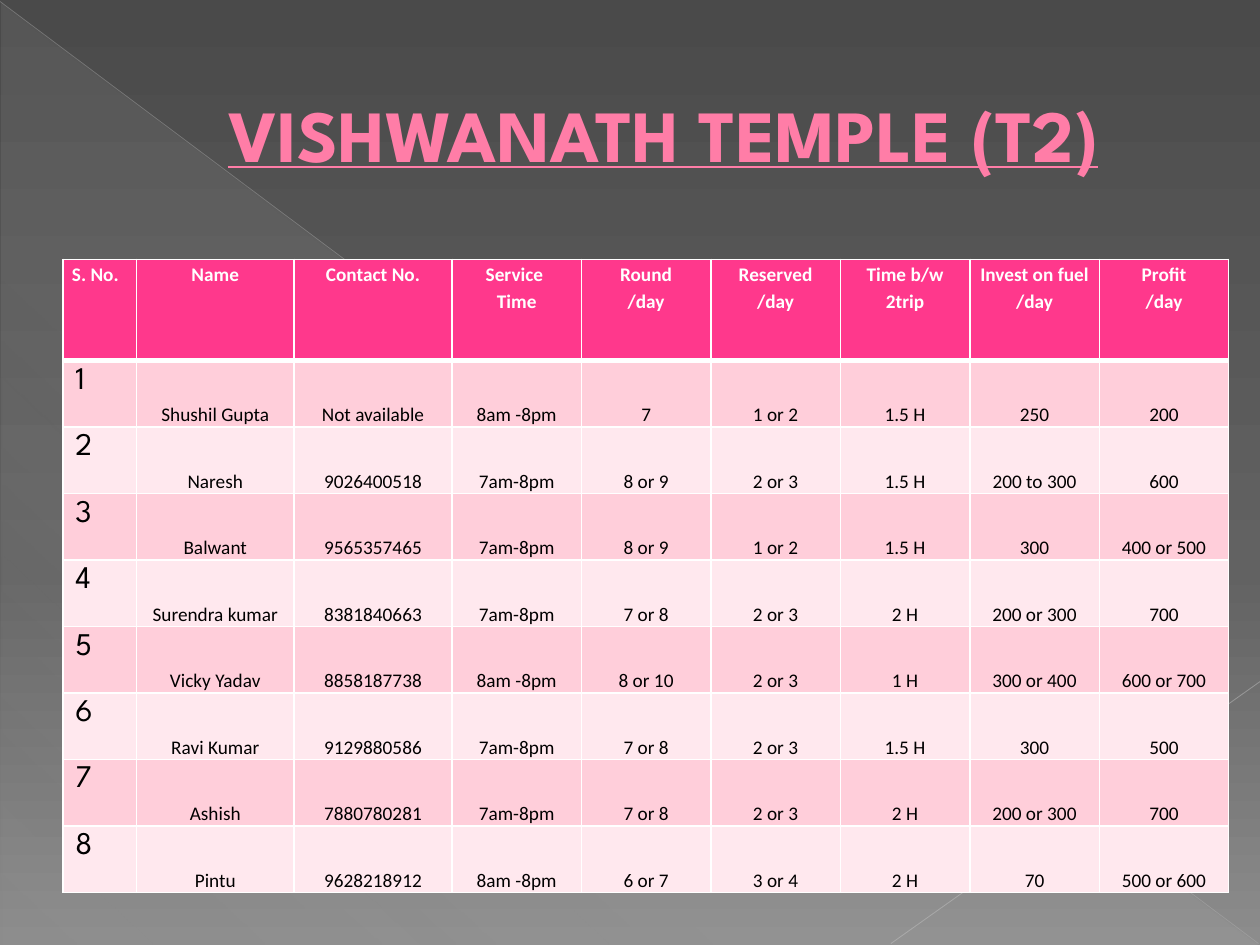
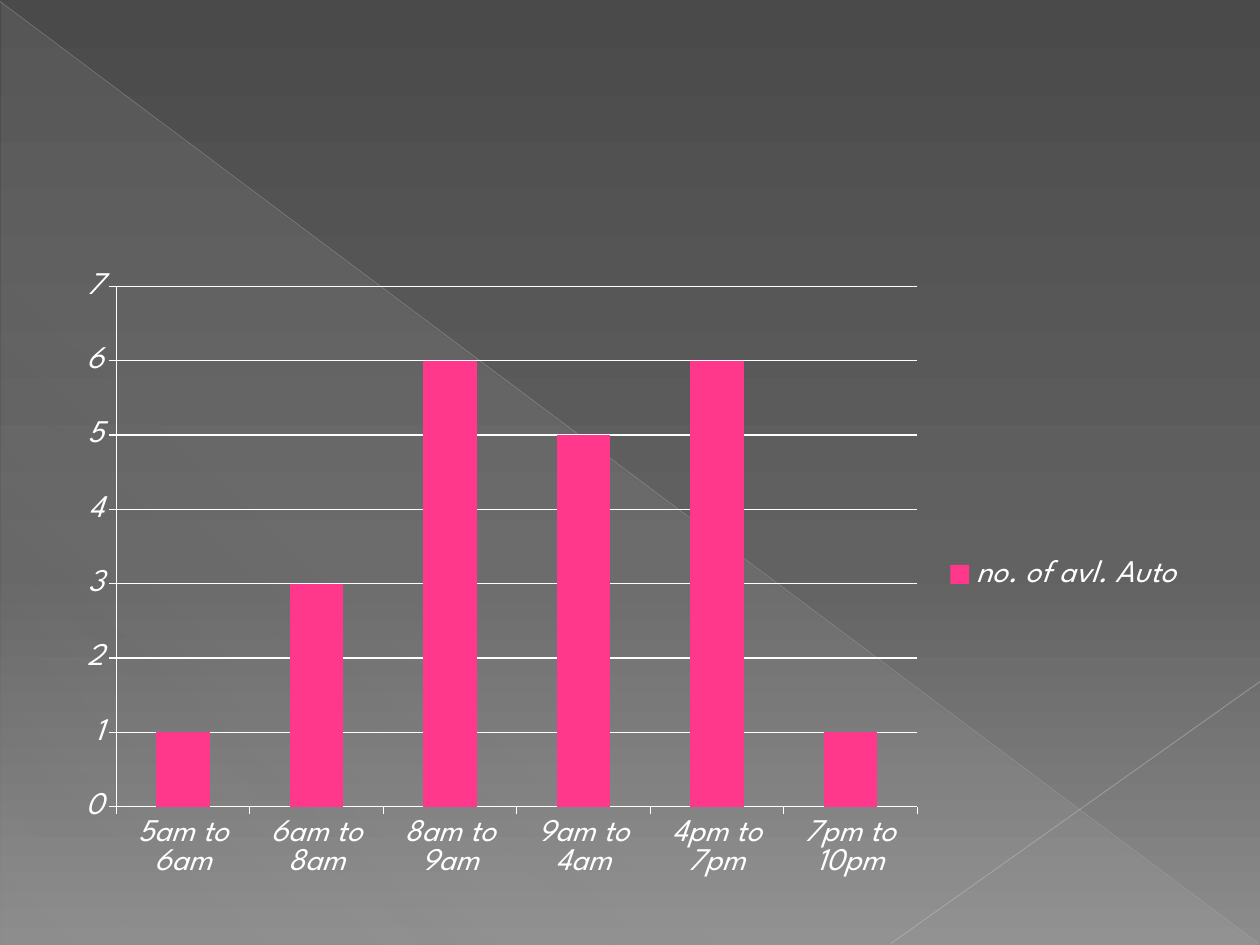
from typing import NamedTuple

from lxml import etree
from pptx import Presentation
from pptx.chart.data import CategoryChartData
from pptx.dml.color import RGBColor
from pptx.enum.chart import XL_CHART_TYPE, XL_LEGEND_POSITION, XL_TICK_MARK
from pptx.enum.shapes import MSO_CONNECTOR, MSO_SHAPE
from pptx.enum.text import MSO_ANCHOR, MSO_AUTO_SIZE, PP_ALIGN
from pptx.oxml.ns import qn
from pptx.util import Cm, Pt

COLUMN = XL_CHART_TYPE.COLUMN_CLUSTERED
RIGHT = XL_LEGEND_POSITION.RIGHT
TICK_OUT, TICK_NONE = XL_TICK_MARK.OUTSIDE, XL_TICK_MARK.NONE
STRAIGHT = MSO_CONNECTOR.STRAIGHT
TRIANGLE = MSO_SHAPE.RIGHT_TRIANGLE
TOP, MIDDLE, BOTTOM = MSO_ANCHOR.TOP, MSO_ANCHOR.MIDDLE, MSO_ANCHOR.BOTTOM
LEFT, CENTER = PP_ALIGN.LEFT, PP_ALIGN.CENTER
NO_FIT = MSO_AUTO_SIZE.NONE

WHITE = RGBColor(0xFF, 0xFF, 0xFF)
BLACK = RGBColor(0x00, 0x00, 0x00)
PINK = RGBColor(0xFF, 0x38, 0x8C)
TITLE_PINK = RGBColor(0xFF, 0x7D, 0xA7)
EDGE_PINK = RGBColor(0xB1, 0x27, 0x61)
ROSE = RGBColor(0xFF, 0xCE, 0xDA)
BLUSH = RGBColor(0xFF, 0xE8, 0xEE)
DARK = RGBColor(0x4A, 0x4A, 0x4A)
MID = RGBColor(0x62, 0x62, 0x62)
LIGHT = RGBColor(0x8C, 0x8C, 0x8C)
MIST = RGBColor(0xD2, 0xD2, 0xD2)
SILVER = RGBColor(0xBF, 0xBF, 0xBF)
PALE = RGBColor(0xC6, 0xC6, 0xC6)

HEAD_FONT = "League Spartan"
CELL_FONT = "Calibri"


class Stop(NamedTuple):
    place: int
    color: RGBColor
    alpha: int = 100


class Ray(NamedTuple):
    """A thin translucent line; its ends are in centimetres."""
    start: tuple[float, float]
    end: tuple[float, float]
    color: RGBColor
    width: float
    alpha: int


class Style(NamedTuple):
    """The look of one kind of table cell; insets are in centimetres."""
    font: str
    size: int
    color: RGBColor
    bold: bool
    align: int
    anchor: int
    insets: tuple[float, float, float, float]
    spacing: float = 1.0


SKY = [Stop(0, DARK), Stop(60, MID), Stop(100, LIGHT)]
HAZE = [Stop(0, MIST, 10), Stop(70, MIST, 8), Stop(100, MIST, 1)]
RAYS = [
    Ray((0, 0.03), (25.37, 19.02), SILVER, 0.39, 35),
    Ray((25.4, 13.74), (17.96, 19.02), PALE, 0.47, 45),
]

HEAD_INSETS = (0.18, 0, 0.18, 0)
FIRST_HEAD = Style(CELL_FONT, 11, WHITE, True, LEFT, TOP, HEAD_INSETS, 1.15)
HEAD = FIRST_HEAD._replace(align=CENTER)
NUMBER = Style(HEAD_FONT, 18, BLACK, False, LEFT, TOP,
               (0.25, 0.13, 0.25, 0.13))
ENTRY = Style(CELL_FONT, 11, BLACK, False, CENTER, BOTTOM,
              (0.03, 0.03, 0.03, 0))

COL_WIDTHS = [1.48, 3.18, 3.18] + [2.61] * 6
HEAD_HEIGHT, ROW_HEIGHT = 2.04, 1.34
HEADINGS = ["S. No.", "Name", "Contact No.", "Service \nTime", "Round\n/day",
            "Reserved /day", "Time b/w 2trip", "Invest on fuel\n/day",
            "Profit\n/day"]
DRIVERS = [
    ["Shushil Gupta", "Not available", "8am -8pm", "7", "1 or 2", "1.5 H",
     "250", "200"],
    ["Naresh", "9026400518", "7am-8pm", "8 or 9", "2 or 3", "1.5 H",
     "200 to 300", "600"],
    ["Balwant", "9565357465", "7am-8pm", "8 or 9", "1 or 2", "1.5 H",
     "300", "400 or 500"],
    ["Surendra kumar", "8381840663", "7am-8pm", "7 or 8", "2 or 3", "2 H",
     "200 or 300", "700"],
    ["Vicky Yadav", "8858187738", "8am -8pm", "8 or 10", "2 or 3", "1 H",
     "300 or 400", "600 or 700"],
    ["Ravi Kumar", "9129880586", "7am-8pm", "7 or 8", "2 or 3", "1.5 H",
     "300", "500"],
    ["Ashish", "7880780281", "7am-8pm", "7 or 8", "2 or 3", "2 H",
     "200 or 300", "700"],
    ["Pintu", "9628218912", "8am -8pm", "6 or 7", "3 or 4", "2 H",
     "70", "500 or 600"],
]
AUTOS = {"5am to 6am": 1, "6am to 8am": 3, "8am to 9am": 6,
         "9am to 4am": 5, "4pm to 7pm": 6, "7pm to 10pm": 1}


def add_color(parent, color: RGBColor, alpha: int = 100) -> None:
    node = etree.SubElement(parent, qn("a:srgbClr"), val=str(color))
    if alpha < 100:
        etree.SubElement(node, qn("a:alpha"), val=str(alpha * 1000))


def add_line(parent, tag: str, color: RGBColor, width: float) -> None:
    line = etree.SubElement(parent, qn(tag), w=str(Pt(width)))
    add_color(etree.SubElement(line, qn("a:solidFill")), color)


def blend(owner, fill, stops: list[Stop], angle: int) -> None:
    """Give the fill of owner these stops, with a clockwise angle."""
    fill.gradient()
    grad = owner.element.find(".//" + qn("a:gradFill"))
    for child in list(grad):
        grad.remove(child)
    listing = etree.SubElement(grad, qn("a:gsLst"))
    for stop in stops:
        node = etree.SubElement(listing, qn("a:gs"),
                                pos=str(stop.place * 1000))
        add_color(node, stop.color, stop.alpha)
    etree.SubElement(grad, qn("a:lin"), ang=str(angle * 60000), scaled="0")


def draw_ray(slide, ray: Ray):
    ends = [Cm(value) for value in ray.start + ray.end]
    line = slide.shapes.add_connector(STRAIGHT, *ends)
    line.line.width = Pt(ray.width)
    line.line.color.rgb = ray.color
    props = line.element.spPr
    tint = props.find(".//" + qn("a:srgbClr"))
    etree.SubElement(tint, qn("a:alpha"), val=str(ray.alpha * 1000))
    etree.SubElement(props, qn("a:effectLst"))
    return line


def dress_master(deck, slide) -> None:
    """Draw the backdrop on a slide, then move it to the master."""
    master = deck.slide_master
    blend(master, master.background.fill, SKY, 90)
    haze = slide.shapes.add_shape(TRIANGLE, Cm(0.03), Cm(0.05),
                                  Cm(25.35), Cm(19))
    haze.shadow.inherit = False
    haze.line.fill.background()
    blend(haze, haze.fill, HAZE, 133)
    parts = [haze] + [draw_ray(slide, ray) for ray in RAYS]
    for index, part in enumerate(parts):
        part.element.find(".//" + qn("p:cNvPr")).set("id", str(100 + index))
        master.shapes.element.insert(2 + index, part.element)


def add_title(slide, text: str) -> None:
    title = slide.shapes.title
    title.left, title.top = Cm(1.27), Cm(0.74)
    title.width, title.height = Cm(22.86), Cm(3.89)
    frame = title.text_frame
    frame.auto_size = NO_FIT
    frame.vertical_anchor = MIDDLE
    para = frame.paragraphs[0]
    para.alignment = CENTER
    props = para._p.get_or_add_pPr()
    props.set("marL", str(Cm(1.35)))
    props.set("indent", "0")
    run = para.add_run()
    run.text = text
    font = run.font
    add_line(run._r.get_or_add_rPr(), "a:ln", EDGE_PINK, 0.5)
    font.name, font.size = HEAD_FONT, Pt(42)
    font.bold = font.underline = True
    font.color.rgb = TITLE_PINK


def fill_cell(cell, text: str, style: Style, color: RGBColor,
              above: float, below: float) -> None:
    """Write and paint a cell; above and below are border widths."""
    frame = cell.text_frame
    for index, part in enumerate(text.split("\n")):
        para = frame.add_paragraph() if index else frame.paragraphs[0]
        para.alignment = style.align
        para.line_spacing = style.spacing
        run = para.add_run()
        run.text = part
        font = run.font
        font.name, font.size = style.font, Pt(style.size)
        font.bold = style.bold
        font.color.rgb = style.color
    cell.vertical_anchor = style.anchor
    (cell.margin_left, cell.margin_top,
     cell.margin_right, cell.margin_bottom) = map(Cm, style.insets)
    props = cell._tc.get_or_add_tcPr()
    for side, width in zip("LRTB", (1, 1, above, below)):
        add_line(props, f"a:ln{side}", WHITE, width)
    cell.fill.solid()
    cell.fill.fore_color.rgb = color


def add_drivers(slide) -> None:
    rows = [HEADINGS] + [[str(number), *driver]
                         for number, driver in enumerate(DRIVERS, 1)]
    heights = [HEAD_HEIGHT] + [ROW_HEIGHT] * len(DRIVERS)
    table = slide.shapes.add_table(
        len(rows), len(COL_WIDTHS), Cm(1.27), Cm(5.23),
        Cm(sum(COL_WIDTHS)), Cm(sum(heights))).table
    for col, width in zip(table.columns, COL_WIDTHS):
        col.width = Cm(width)
    for r, (texts, height) in enumerate(zip(rows, heights)):
        table.rows[r].height = Cm(height)
        first, rest = (NUMBER, ENTRY) if r else (FIRST_HEAD, HEAD)
        color = (ROSE if r % 2 else BLUSH) if r else PINK
        above, below = 3 if r == 1 else 1, 1 if r else 3
        for c, text in enumerate(texts):
            fill_cell(table.cell(r, c), text, rest if c else first,
                      color, above, below)


def add_autos(slide) -> None:
    data = CategoryChartData()
    data.categories = list(AUTOS)
    data.add_series("no. of avl. Auto", list(AUTOS.values()))
    chart = slide.shapes.add_chart(COLUMN, Cm(1.27), Cm(5.23), Cm(22.86),
                                   Cm(12.7), data).chart
    chart.has_title = False
    font = chart.font
    font.name, font.size, font.italic = HEAD_FONT, Pt(18), True
    font.color.rgb = WHITE
    chart.has_legend = True
    chart.legend.position = RIGHT
    chart.legend.include_in_layout = False
    plot = chart.plots[0]
    plot.gap_width = 150
    plot.vary_by_categories = False
    bars = plot.series[0].format.fill
    bars.solid()
    bars.fore_color.rgb = PINK
    values = chart.value_axis
    values.minimum_scale, values.maximum_scale = 0, 7
    values.major_unit = 1
    values.has_major_gridlines = True
    for axis in (chart.category_axis, values):
        axis.major_tick_mark, axis.minor_tick_mark = TICK_OUT, TICK_NONE
    for part in (chart.category_axis, values, values.major_gridlines):
        part.format.line.color.rgb = WHITE
        part.format.line.width = Pt(0.75)


def main() -> None:
    deck = Presentation()
    deck.slide_width, deck.slide_height = Cm(25.4), Cm(19.05)
    temple = deck.slides.add_slide(deck.slide_layouts[5])
    dress_master(deck, temple)
    add_title(temple, "VISHWANATH TEMPLE (T2)")
    add_drivers(temple)
    add_autos(deck.slides.add_slide(deck.slide_layouts[6]))
    deck.save("out.pptx")


if __name__ == "__main__":
    main()
